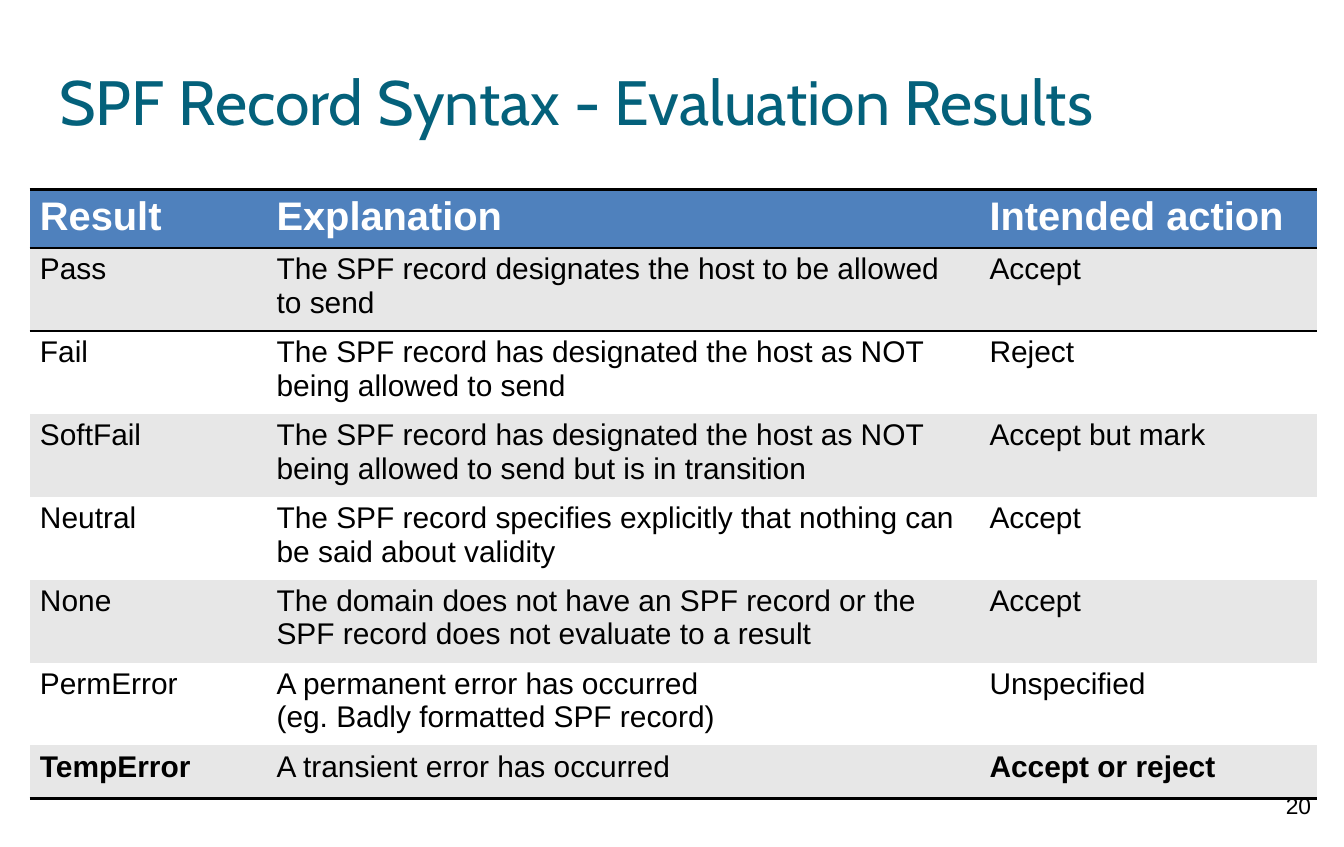
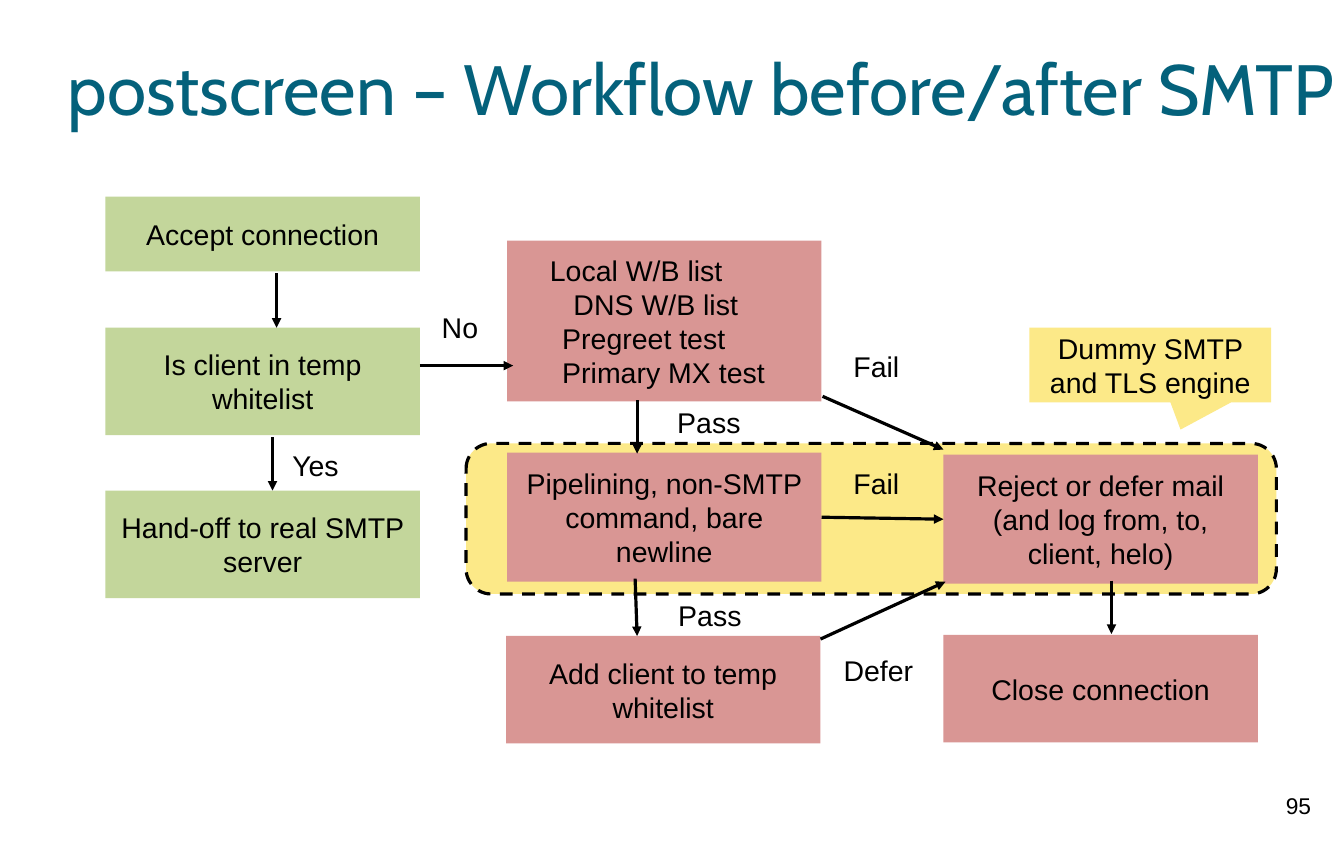
"""Builds two slides on SPF evaluation results and the postscreen workflow."""
from dataclasses import dataclass
from typing import Optional

from lxml import etree
from pptx import Presentation
from pptx.dml.color import RGBColor
from pptx.enum.dml import MSO_LINE
from pptx.enum.shapes import MSO_CONNECTOR, MSO_SHAPE
from pptx.enum.text import MSO_ANCHOR, PP_ALIGN
from pptx.oxml.ns import qn
from pptx.util import Inches, Pt

TEAL = RGBColor(0x04, 0x61, 0x7B)
BLUE = RGBColor(0x4F, 0x81, 0xBD)
GREY = RGBColor(0xE7, 0xE7, 0xE7)
WHITE = RGBColor(0xFF, 0xFF, 0xFF)
BLACK = RGBColor(0x00, 0x00, 0x00)
GREEN = RGBColor(0xC3, 0xD6, 0x9B)
RED = RGBColor(0xD9, 0x96, 0x94)
YELLOW = RGBColor(0xFC, 0xE9, 0x88)

RECTANGLE = MSO_SHAPE.RECTANGLE
ROUNDED = MSO_SHAPE.ROUNDED_RECTANGLE
CALLOUT = MSO_SHAPE.RECTANGULAR_CALLOUT
STRAIGHT = MSO_CONNECTOR.STRAIGHT
DASH = MSO_LINE.DASH
LEFT, CENTER = PP_ALIGN.LEFT, PP_ALIGN.CENTER
TOP, MIDDLE = MSO_ANCHOR.TOP, MSO_ANCHOR.MIDDLE
LEFT_SIDE, RIGHT_SIDE = 1, 3

BODY_FONT, TITLE_FONT = "Arial", "Cabin"
PLAIN_TABLE_STYLE = "{2D5ABB26-0587-4C30-8999-92F81FD0307C}"
LINE_WIDTH = Pt(2.25)
STEP_WIDTH = 3.07
COLUMN_WIDTHS = (2.31, 6.96, 3.3)
HEADER_HEIGHT, SHORT_ROW, TALL_ROW = 0.57, 0.52, 0.81


@dataclass(frozen=True)
class Style:
    size: float
    color: RGBColor = BLACK
    font: str = BODY_FONT
    bold: bool = False


@dataclass(frozen=True)
class Step:
    text: str
    left: float
    top: float
    height: float
    fill: RGBColor
    width: float = STEP_WIDTH
    shape: int = RECTANGLE
    adjustments: tuple[float, ...] = ()
    indents: tuple[float, ...] = ()
    dashed: bool = False


@dataclass(frozen=True)
class Label:
    text: str
    left: float
    top: float
    width: float


@dataclass(frozen=True)
class Arrow:
    start: tuple[float, float]
    end: tuple[float, float]
    source: Optional[str] = None
    target: Optional[str] = None


FLOW_STYLE = Style(20)
HEADER_STYLE = Style(28, WHITE, bold=True)

RESULTS = (
    ("Result", "Explanation", "Intended action"),
    ("Pass", "The SPF record designates the host to be allowed to send", "Accept"),
    ("Fail", "The SPF record has designated the host as NOT being allowed to send", "Reject"),
    ("SoftFail", "The SPF record has designated the host as NOT being allowed to send but is in transition",
     "Accept but mark"),
    ("Neutral", "The SPF record specifies explicitly that nothing can be said about validity", "Accept"),
    ("None", "The domain does not have an SPF record or the SPF record does not evaluate to a result", "Accept"),
    ("PermError", "A permanent error has occurred\n(eg. Badly formatted SPF record)", "Unspecified"),
    ("TempError", "A transient error has occurred", "Accept or reject"),
)
BOLD_RESULTS = ("TempError", "Accept or reject")

PIPELINING = "Pipelining, non-SMTP command, bare newline"
REJECT = "Reject or defer mail (and log from, to, client, helo)"

STEPS = (
    Step("", 4.55, 4.33, 1.47, YELLOW, 7.91, ROUNDED, (0.167,), dashed=True),
    Step("Accept connection", 1.03, 1.92, 0.73, GREEN),
    Step("Is client in temp whitelist", 1.03, 3.2, 1.05, GREEN),
    Step("Hand-off to real SMTP server", 1.03, 4.79, 1.05, GREEN),
    Step("Local W/B list\nDNS W/B list\nPregreet test\nPrimary MX test", 4.95, 2.35, 1.57, RED,
         indents=(0.32, 0.55, 0.44, 0.44)),
    Step(PIPELINING, 4.95, 4.42, 1.26, RED),
    Step("Add client to temp whitelist", 4.94, 6.21, 1.05, RED),
    Step(REJECT, 9.21, 4.44, 1.26, RED),
    Step("Close connection", 9.21, 6.2, 1.05, RED),
    Step("Dummy SMTP and TLS engine", 10.05, 3.2, 0.73, YELLOW, 2.36, CALLOUT, (0.125, 0.863)),
)

LABELS = (
    Label("No", 4.15, 2.98, 0.68),
    Label("Yes", 2.67, 4.33, 0.82),
    Label("Pass", 6.43, 3.91, 0.98),
    Label("Pass", 6.44, 5.79, 0.98),
    Label("Fail", 8.16, 3.36, 0.79),
    Label("Fail", 8.16, 4.5, 0.79),
    Label("Defer", 8.05, 6.33, 1.05),
)

ARROWS = (
    Arrow((2.7, 2.67), (2.7, 3.2)),
    Arrow((2.66, 4.27), (2.66, 4.79)),
    Arrow((4.1, 3.57), (5.01, 3.57)),
    Arrow((6.22, 3.91), (6.22, 4.43)),
    Arrow((6.2, 5.65), (6.22, 6.21)),
    Arrow((8.03, 3.87), (9.21, 4.39)),
    Arrow((8.02, 5.05), (9.21, 5.07), PIPELINING, REJECT),
    Arrow((8.01, 6.24), (9.23, 5.68)),
    Arrow((10.85, 5.67), (10.85, 6.19)),
)


def add_run(paragraph, text: str, style: Style) -> None:
    run = paragraph.add_run()
    run.text = text
    run.font.size = Pt(style.size)
    run.font.name = style.font
    run.font.bold = style.bold
    run.font.color.rgb = style.color


def add_lines(paragraph, text: str, style: Style) -> None:
    for index, line in enumerate(text.split("\n")):
        if index:
            paragraph.add_line_break()
        add_run(paragraph, line, style)


def add_text(slide, text: str, left: float, top: float, width: float, height: float, style: Style,
             align: int = CENTER, anchor: int = TOP, inset: float = 0.1, wrap: bool = True) -> None:
    frame = slide.shapes.add_textbox(Inches(left), Inches(top), Inches(width), Inches(height)).text_frame
    frame.word_wrap = wrap
    frame.vertical_anchor = anchor
    frame.margin_left = frame.margin_right = Inches(inset)
    frame.margin_top = frame.margin_bottom = Inches(inset / 2)
    frame.paragraphs[0].alignment = align
    add_run(frame.paragraphs[0], text, style)


def add_page(deck, title: str, number: int, left: float, top: float, size: float):
    slide = deck.slides.add_slide(deck.slide_layouts[6])
    add_text(slide, str(number), 12.28, 7.68, 0.79, 0.5, Style(16))
    add_text(slide, title, left, top, 12.41, 1.38, Style(size, TEAL, TITLE_FONT), LEFT, MIDDLE, 0, False)
    return slide


def add_rule(cell, edge: str) -> None:
    line = etree.SubElement(cell._tc.get_or_add_tcPr(), qn(f"a:ln{edge}"), w=str(Pt(2)))
    fill = etree.SubElement(line, qn("a:solidFill"))
    etree.SubElement(fill, qn("a:srgbClr"), val=str(BLACK))


def add_results(slide) -> None:
    last = len(RESULTS) - 1
    heights = [HEADER_HEIGHT] + [TALL_ROW] * (last - 1) + [SHORT_ROW]
    frame = slide.shapes.add_table(len(RESULTS), len(COLUMN_WIDTHS), Inches(0.29), Inches(1.85),
                                   Inches(sum(COLUMN_WIDTHS)), Inches(sum(heights)))
    frame.element.find(f".//{qn('a:tableStyleId')}").text = PLAIN_TABLE_STYLE
    table = frame.table
    table.horz_banding = False
    for column, width in zip(table.columns, COLUMN_WIDTHS):
        column.width = Inches(width)
    for row_index, (row, texts) in enumerate(zip(table.rows, RESULTS)):
        row.height = Inches(heights[row_index])
        edges = {0: "TB", 1: "T", last: "B"}.get(row_index, "")
        fill = BLUE if row_index == 0 else GREY if row_index % 2 else WHITE
        for cell, text in zip(row.cells, texts):
            for edge in edges:
                add_rule(cell, edge)
            cell.fill.solid()
            cell.fill.fore_color.rgb = fill
            style = HEADER_STYLE if row_index == 0 else Style(21, bold=text in BOLD_RESULTS)
            add_lines(cell.text_frame.paragraphs[0], text, style)


def add_step(slide, step: Step):
    shape = slide.shapes.add_shape(step.shape, Inches(step.left), Inches(step.top),
                                   Inches(step.width), Inches(step.height))
    shape.shadow.inherit = False
    for index, value in enumerate(step.adjustments):
        shape.adjustments[index] = value
    shape.fill.solid()
    shape.fill.fore_color.rgb = step.fill
    if step.dashed:
        shape.line.color.rgb = BLACK
        shape.line.width = LINE_WIDTH
        shape.line.dash_style = DASH
    else:
        shape.line.fill.background()
    frame = shape.text_frame
    frame.word_wrap = True
    frame.vertical_anchor = MIDDLE
    for index, line in enumerate(step.text.split("\n") if step.text else ()):
        paragraph = frame.add_paragraph() if index else frame.paragraphs[0]
        paragraph.alignment = LEFT if step.indents else CENTER
        if step.indents:
            paragraph._p.get_or_add_pPr().set("marL", str(Inches(step.indents[index])))
        add_run(paragraph, line, FLOW_STYLE)
    return shape


def add_arrow(slide, arrow: Arrow, steps: dict) -> None:
    connector = slide.shapes.add_connector(STRAIGHT, *map(Inches, arrow.start + arrow.end))
    connector.line.color.rgb = BLACK
    connector.line.width = LINE_WIDTH
    properties = connector.element.spPr
    etree.SubElement(properties.find(qn("a:ln")), qn("a:tailEnd"), type="triangle")
    etree.SubElement(properties, qn("a:effectLst"))
    if arrow.source:
        connector.begin_connect(steps[arrow.source], RIGHT_SIDE)
    if arrow.target:
        connector.end_connect(steps[arrow.target], LEFT_SIDE)


def add_workflow(slide) -> None:
    steps = {step.text: add_step(slide, step) for step in STEPS}
    for label in LABELS:
        add_text(slide, label.text, label.left, label.top, label.width, 0.44, FLOW_STYLE)
    for arrow in ARROWS:
        add_arrow(slide, arrow, steps)


def main() -> None:
    deck = Presentation()
    deck.slide_width, deck.slide_height = Inches(13.12), Inches(8.27)
    add_results(add_page(deck, "SPF Record Syntax - Evaluation Results", 20, 0.58, 0.29, 44))
    add_workflow(add_page(deck, "postscreen – Workflow before/after SMTP", 95, 0.66, 0.16, 50))
    deck.save("out.pptx")


if __name__ == "__main__":
    main()
